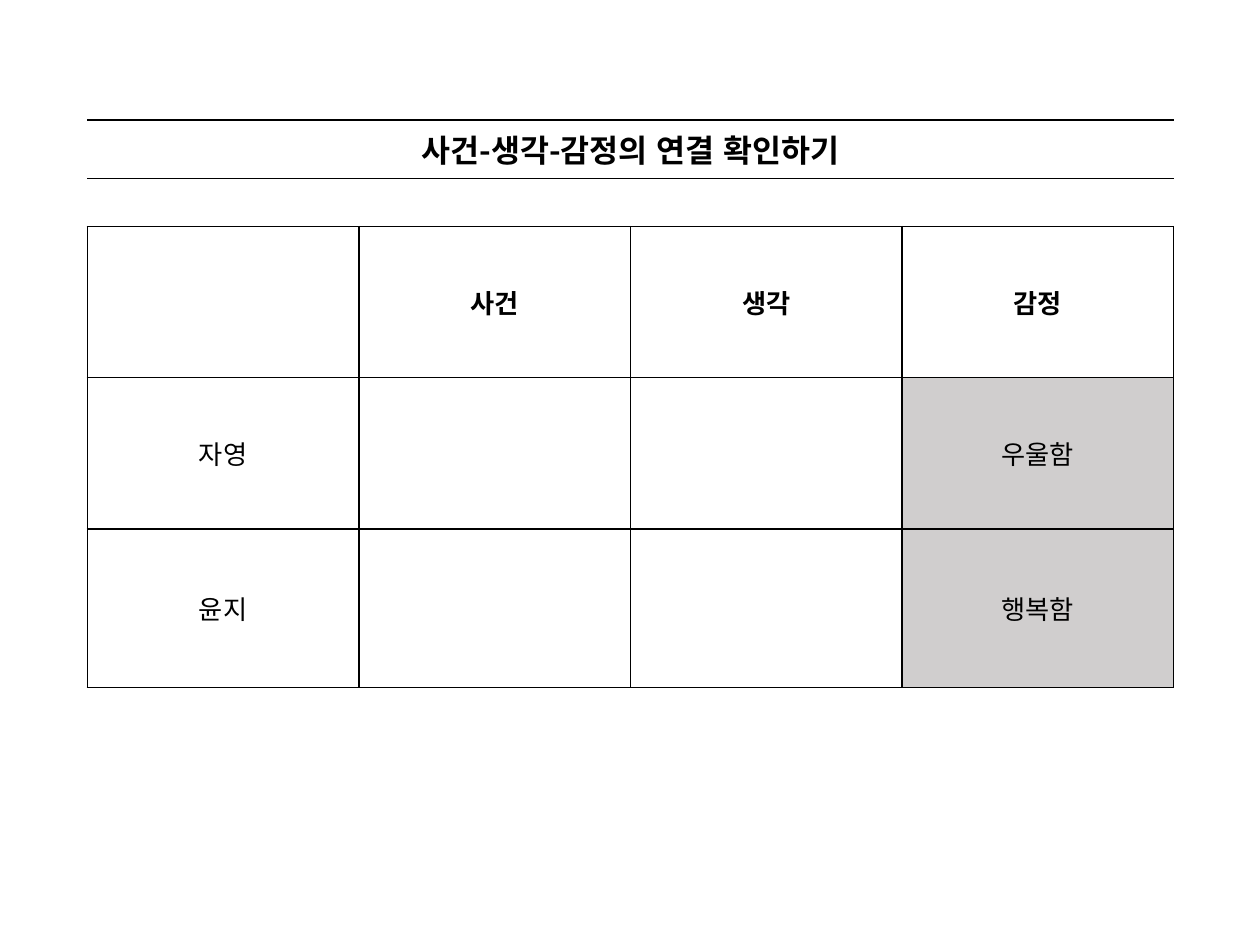
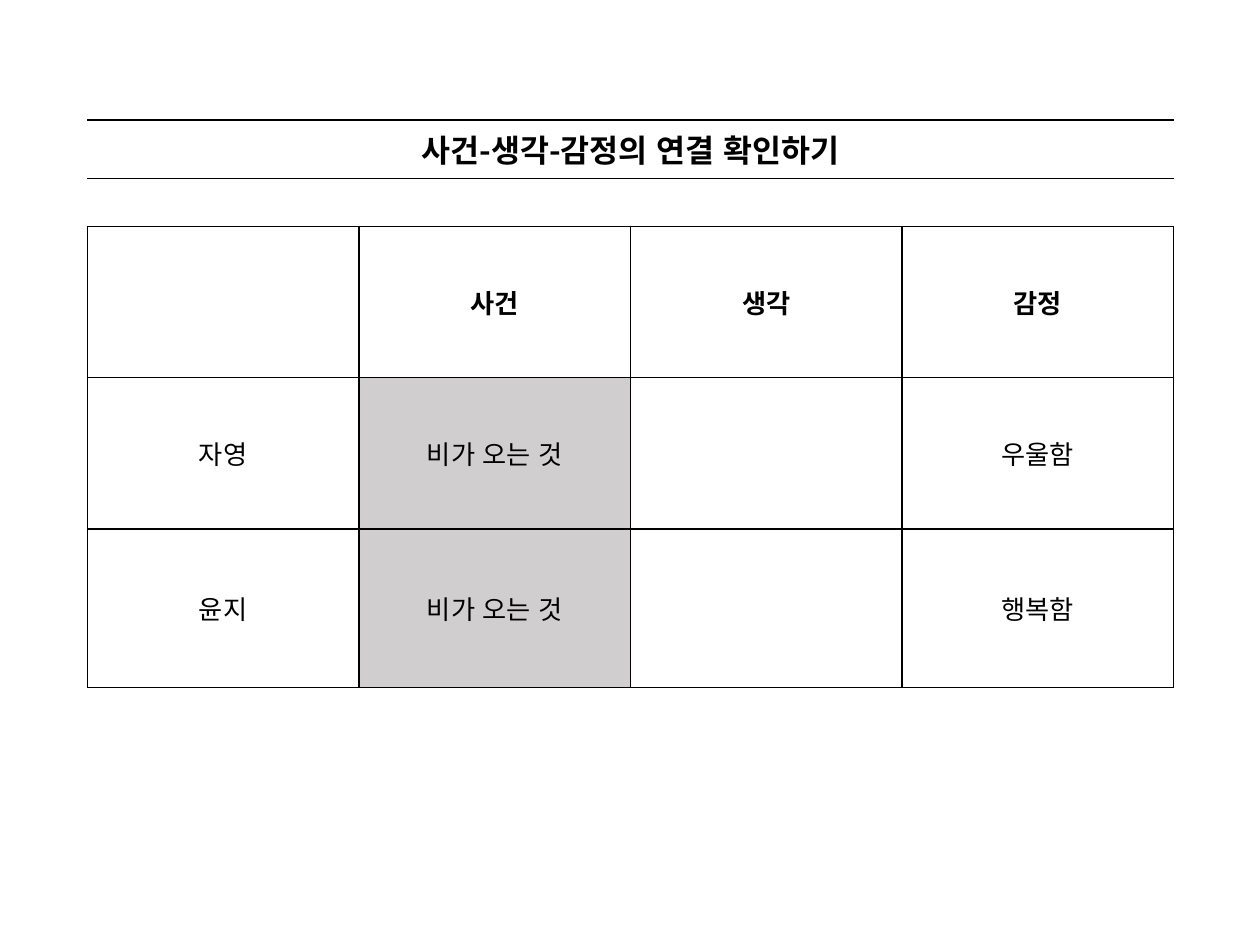
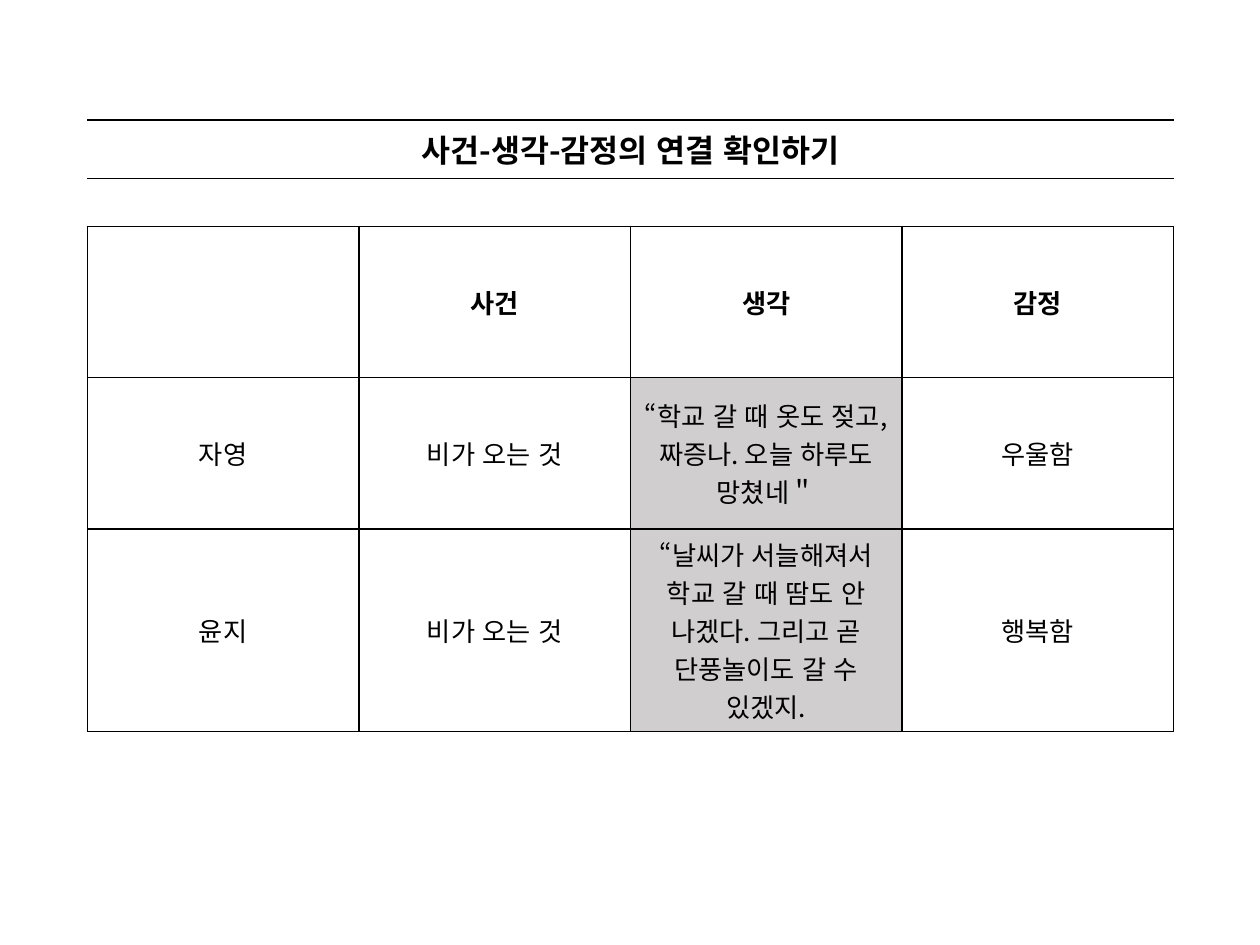
"""Builds three worksheet slides that link events, thoughts and feelings."""
from lxml.etree import SubElement
from pptx import Presentation
from pptx.dml.color import RGBColor
from pptx.enum.text import MSO_ANCHOR, PP_ALIGN
from pptx.oxml.ns import qn
from pptx.util import Cm, Pt

COLORS = {"ink": "000000", "answer": "D0CECE"}
FONT = "Noto Sans CJK KR"
LEFT, WIDTH = Cm(1.76), Cm(21.9)
TITLE_TOP, TITLE_HEIGHT = Cm(2.42), Cm(1.04)
GRID_TOP = Cm(4.57)
ROW_HEIGHTS = [Cm(3.04), Cm(3.05), Cm(3.2)]
HEADINGS = ["", "사건", "생각", "감정"]
NAMES = ["자영", "윤지"]
EVENTS = ["비가 오는 것", "비가 오는 것"]
THOUGHTS = [
    "“학교 갈 때 옷도 젖고, 짜증나. 오늘 하루도 망쳤네＂",
    "“날씨가 서늘해져서 학교 갈 때 땀도 안 나겠다. 그리고 곧 단풍놀이도 갈 수 있겠지.",
]
FEELINGS = ["우울함", "행복함"]
UNKNOWN = ["", ""]
STEPS = [
    ([NAMES, UNKNOWN, UNKNOWN, FEELINGS], 3),
    ([NAMES, EVENTS, UNKNOWN, FEELINGS], 1),
    ([NAMES, EVENTS, THOUGHTS, FEELINGS], 2),
]


def add_plain_table(slide, top, heights, column_count):
    table = slide.shapes.add_table(
        len(heights), column_count, LEFT, top, WIDTH, sum(heights)).table
    table.first_row = table.horz_banding = False
    for row, height in zip(table.rows, heights):
        row.height = height
    return table


def fill_cell(cell, text, size, bold, ruled_sides, shade=None):
    cell.text_frame.text = text
    paragraph = cell.text_frame.paragraphs[0]
    paragraph.alignment = PP_ALIGN.CENTER
    paragraph._p.get_or_add_pPr().set("hangingPunct", "0")
    for run in paragraph.runs:
        run.font.name = FONT
        run.font.size = Pt(size)
        run.font.bold = bold
        run.font.color.rgb = RGBColor.from_string(COLORS["ink"])
        run.font._element.set("lang", "ko-KR")
        run.font._element.set("kern", "0")
        SubElement(run.font._element, qn("a:ea"), typeface=FONT)
    for side in "LRTB":
        border = SubElement(
            cell._tc.get_or_add_tcPr(), qn(f"a:ln{side}"), w=str(Pt(1)))
        if side in ruled_sides:
            ink = SubElement(border, qn("a:solidFill"))
            SubElement(ink, qn("a:srgbClr"), val=COLORS["ink"])
        else:
            SubElement(border, qn("a:noFill"))
    if shade:
        cell.fill.solid()
        cell.fill.fore_color.rgb = RGBColor.from_string(shade)
    else:
        cell.fill.background()


prs = Presentation()
prs.slide_width, prs.slide_height = Cm(25.4), Cm(19.05)

for columns, answer_column in STEPS:
    slide = prs.slides.add_slide(prs.slide_layouts[6])

    worksheet = add_plain_table(slide, GRID_TOP, ROW_HEIGHTS, len(HEADINGS))
    for column, (label, entries) in enumerate(zip(HEADINGS, columns)):
        for row, text in enumerate([label, *entries]):
            is_answer = row > 0 and column == answer_column
            cell = worksheet.cell(row, column)
            cell.vertical_anchor = MSO_ANCHOR.MIDDLE
            fill_cell(cell, text, 15, row == 0, "LRTB",
                      COLORS["answer"] if is_answer else None)

    heading = add_plain_table(slide, TITLE_TOP, [TITLE_HEIGHT], 1)
    fill_cell(heading.cell(0, 0), "사건-생각-감정의 연결 확인하기", 18, True, "TB")

prs.save("out.pptx")
